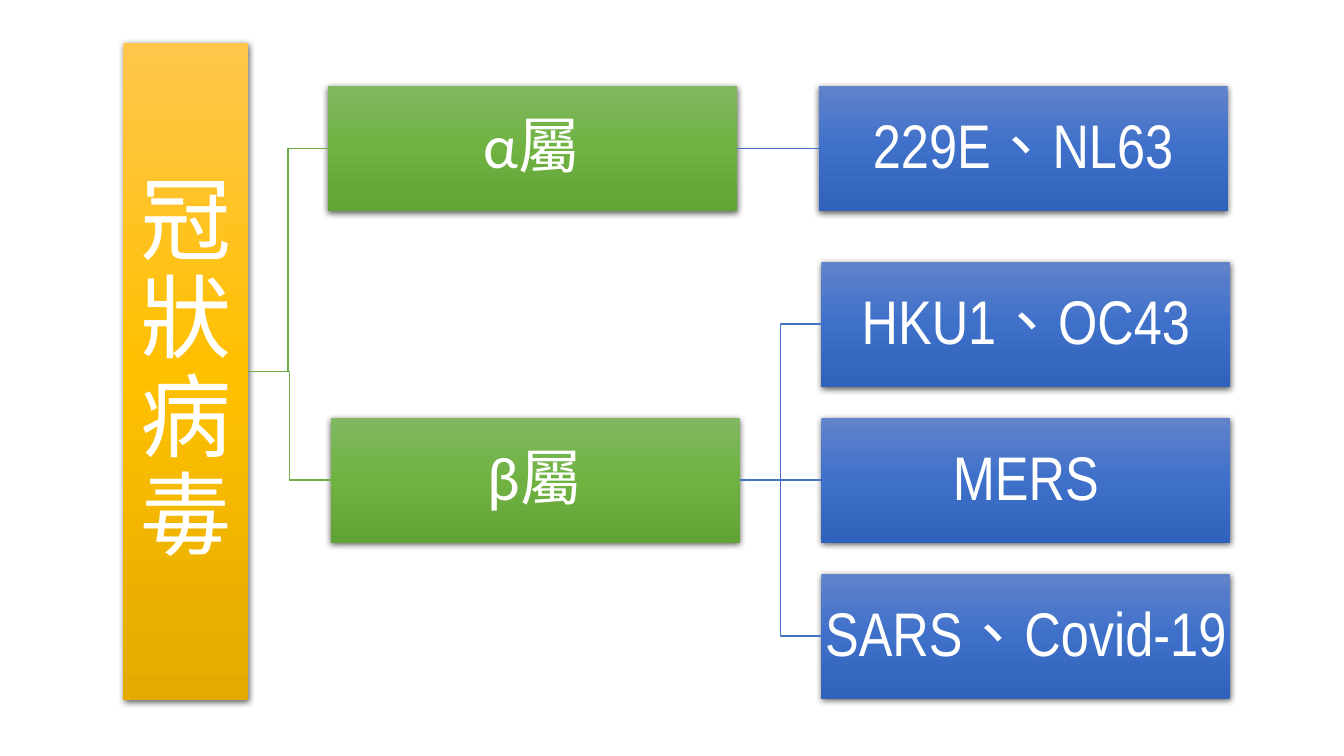
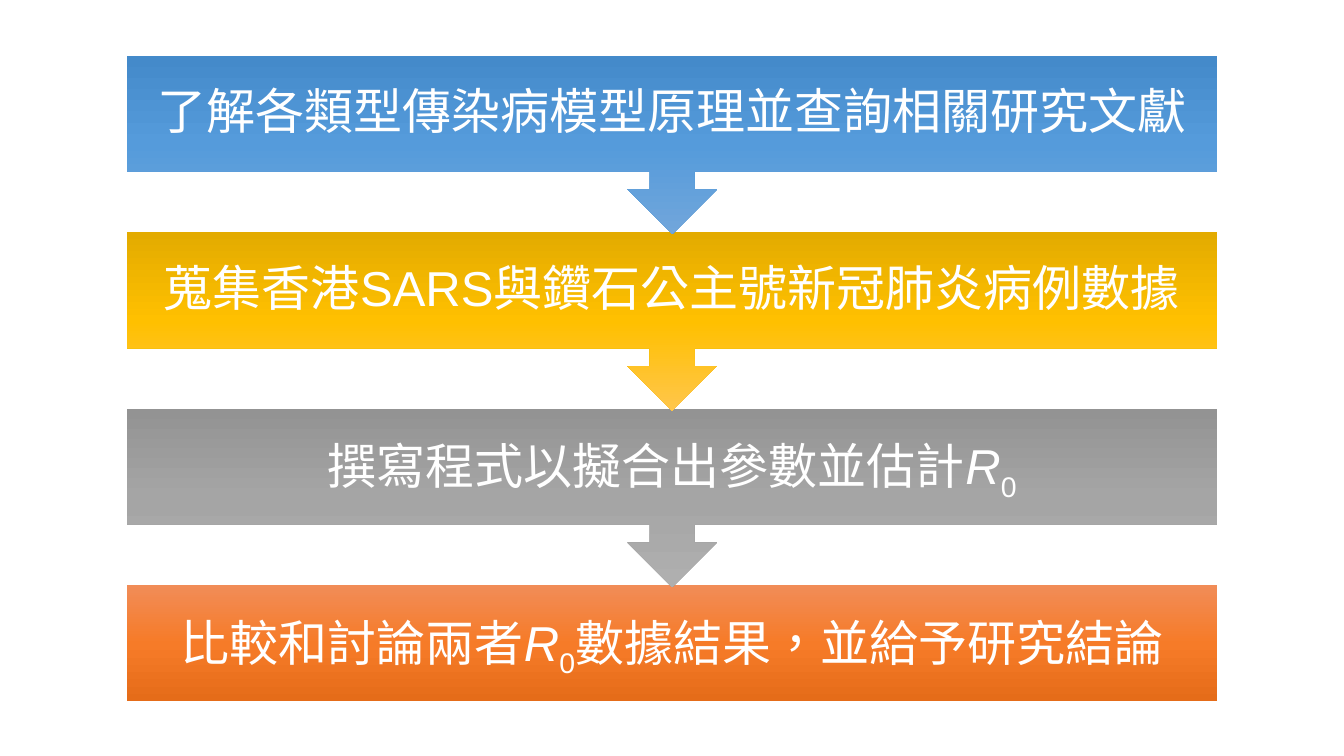
from lxml.etree import SubElement
from pptx import Presentation
from pptx.dml.color import RGBColor
from pptx.enum.shapes import MSO_CONNECTOR, MSO_SHAPE
from pptx.enum.text import MSO_ANCHOR, PP_ALIGN
from pptx.oxml.ns import qn
from pptx.util import Cm, Pt

# Shared look: gradients run from top to bottom
GOLD = ["FFC64B", "FFC000", "E3AB00"]
GREEN = ["81B861", "6FB242", "62A336"]
NAVY = ["6183CB", "3E70CA", "3062BB"]
SKY = ["71A6DB", "559BDB", "448ACA"]
GRAY = ["AFAFAF", "A5A5A5", "939393"]
RUST = ["F18C57", "F67B28", "E56C19"]
HAN = "Noto Sans CJK SC"
R_ZERO = [("R", "i"), ("0", "sub")]


def color(code):
    return RGBColor.from_string(code)


def shade(shape, tones):
    """Fill with evenly spaced tones from top to bottom."""
    shape.fill.gradient()
    shape.fill.gradient_angle = 270
    stops = shape._element.spPr.find(qn("a:gradFill")).find(qn("a:gsLst"))
    for stop in list(stops):
        stops.remove(stop)
    for i, tone in enumerate(tones):
        stop = SubElement(stops, qn("a:gs"), pos=str(i * 50000))
        SubElement(stop, qn("a:srgbClr"), val=tone)


def drop(shape):
    """Add a soft shadow below."""
    fx = shape._element.spPr.find(qn("a:effectLst"))
    cast = SubElement(fx, qn("a:outerShdw"), blurRad="57150", dist="19050",
                      dir="5400000", algn="ctr", rotWithShape="0")
    black = SubElement(cast, qn("a:srgbClr"), val="000000")
    SubElement(black, qn("a:alpha"), val="63000")


def write(shape, parts, size, face, pad, east=HAN):
    """Centre white text; each part is a string and its style."""
    frame = shape.text_frame
    frame.word_wrap = True
    frame.vertical_anchor = MSO_ANCHOR.MIDDLE
    frame.margin_left = frame.margin_right = Cm(pad)
    frame.margin_top = frame.margin_bottom = Cm(pad)
    para = frame.paragraphs[0]
    para.alignment = PP_ALIGN.CENTER
    para.line_spacing = 0.9
    font = para.font
    font.size, font.name = Pt(size), face
    font.color.rgb = color("FFFFFF")
    SubElement(font._element, qn("a:ea"), typeface=east)
    for text, style in parts:
        run = para.add_run()
        run.text = text
        mark = run.font._element
        mark.set("lang", "zh-TW")
        if style == "i":
            run.font.italic = True
        elif style == "sub":
            mark.set("baseline", "-25000")


def block(slide, kind, box, tones):
    shape = slide.shapes.add_shape(kind, *map(Cm, box))
    shape.shadow.inherit = False
    shape.line.fill.background()
    shade(shape, tones)
    return shape


def node(slide, box, tones, text, size=44, face="Arial Narrow", pad=0.08, east=HAN):
    shape = block(slide, MSO_SHAPE.RECTANGLE, box, tones)
    drop(shape)
    write(shape, [(text, "")], size, face, pad, east)
    return shape


def link(slide, start, end, tone):
    """Join the right side of one node to the left side of another."""
    level = abs(start.top + start.height / 2 - end.top - end.height / 2) < Cm(0.05)
    kind = MSO_CONNECTOR.STRAIGHT if level else MSO_CONNECTOR.ELBOW
    line = slide.shapes.add_connector(kind, 0, 0, 0, 0)
    line.begin_connect(start, 3)
    line.end_connect(end, 1)
    line.line.color.rgb = color(tone)
    line.line.width = Pt(1)
    SubElement(line._element.spPr, qn("a:effectLst"))


def branch(slide, root, left, mid, name, leaves):
    """One genus centred on mid, with its column of leaves."""
    wide, high, gap, step = 10.31, 3.15, 2.06, 3.93
    top = mid - high / 2
    genus = node(slide, (left, top, wide, high), GREEN, name, face="Calibri")
    link(slide, root, genus, "70AD47")
    first = top - step * (len(leaves) - 1) / 2
    for i, text in enumerate(leaves):
        box = (left + wide + gap, first + i * step, wide, high)
        leaf = node(slide, box, NAVY, text, east="Arial Narrow")
        link(slide, genus, leaf, "4472C4")


def tree(slide):
    root = node(slide, (3.11, 1.09, 3.15, 16.54), GOLD, "冠狀病毒", 65, HAN, 0.13)
    branch(slide, root, 8.26, 3.74, "α屬", ["229E、NL63"])
    branch(slide, root, 8.33, 12.1, "β屬", ["HKU1、OC43", "MERS", "SARS、Covid-19"])


def flow(slide, left, top, wide, steps):
    """Stacked steps, each pointing at the next; the last has no arrow."""
    pitch, last = 4.45, len(steps) - 1
    for i, (tones, parts) in reversed(list(enumerate(steps))):
        kind, high = MSO_SHAPE.DOWN_ARROW_CALLOUT, 4.5
        if i == last:
            kind, high = MSO_SHAPE.RECTANGLE, 2.92
        shape = block(slide, kind, (left, top + i * pitch, wide, high), tones)
        write(shape, parts, 35, "Arial", 0.69)


def main():
    deck = Presentation()
    deck.slide_width, deck.slide_height = Cm(33.87), Cm(19.05)
    blank = deck.slide_layouts[6]

    # Virus family
    tree(deck.slides.add_slide(blank))

    # Research steps
    flow(deck.slides.add_slide(blank), 3.2, 1.4, 27.48, [
        (SKY[::-1], [("了解各類型傳染病模型原理並查詢相關研究文獻", "")]),
        (GOLD[::-1], [("蒐集香港SARS與鑽石公主號新冠肺炎病例數據", "")]),
        (GRAY[::-1], [("撰寫程式以擬合出參數並估計", ""), *R_ZERO]),
        (RUST, [("比較和討論兩者", ""), *R_ZERO, ("數據結果，並給予研究結論", "")]),
    ])
    deck.save("out.pptx")


if __name__ == "__main__":
    main()
